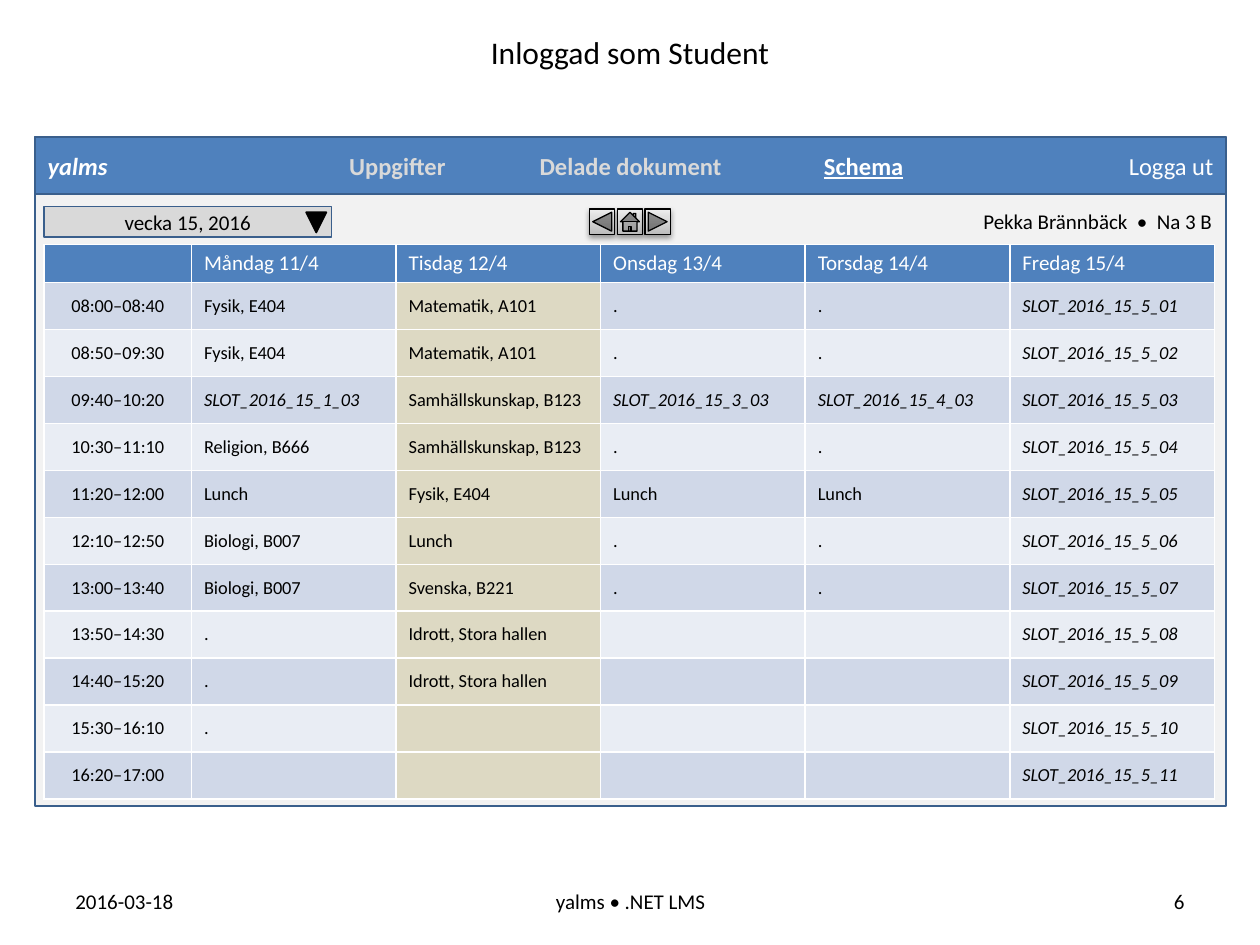
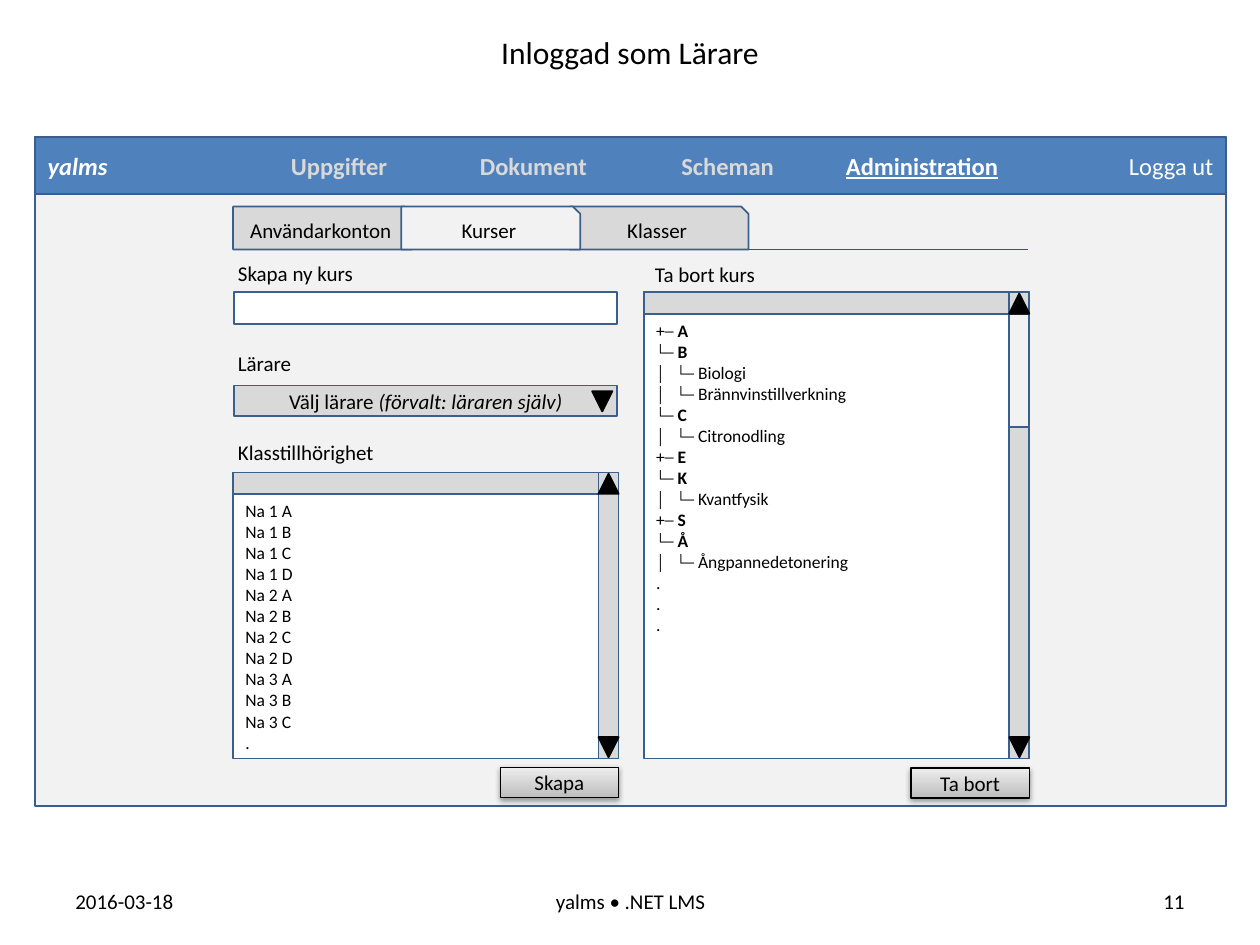
from dataclasses import dataclass
from lxml.etree import SubElement
from pptx import Presentation
from pptx.dml.color import RGBColor
from pptx.enum.shapes import MSO_CONNECTOR, MSO_SHAPE
from pptx.enum.text import MSO_ANCHOR, MSO_AUTO_SIZE, PP_ALIGN
from pptx.oxml.ns import qn
from pptx.util import Inches, Pt

FONT = "Calibri"
COLORS = {
    "black": "000000", "white": "FFFFFF", "blue": "4F81BD", "outline": "3A5F8C",
    "page": "F2F2F2", "gray": "D9D9D9", "purple": "7030A0", "today": "DDD9C3",
    "band_dark": "D0D8E8", "band_light": "E9EDF4", "contour": "808080",
    "button_dark": "BDBDBD", "button_light": "EEEEEE",
}
SLIDE_WIDTH, SLIDE_HEIGHT = Inches(10), Inches(7.5)
# The slide is a grid of 100 columns and 75 rows
COLUMN, ROW = SLIDE_WIDTH / 100, SLIDE_HEIGHT / 75
LEFT, CENTER, RIGHT = PP_ALIGN.LEFT, PP_ALIGN.CENTER, PP_ALIGN.RIGHT


@dataclass
class Box:
    """An area in grid columns and rows."""
    left: float
    top: float
    width: float
    height: float

    def inside(self, left, top, width, height):
        return Box(self.left + left, self.top + top, width, height)

    def lengths(self):
        return (round(self.left * COLUMN), round(self.top * ROW),
                round(self.width * COLUMN), round(self.height * ROW))


WINDOW = Box(2.8, 10.9, 94.5, 53.1)
MENU_HEIGHT = 4.5


def rgb(name):
    return RGBColor.from_string(COLORS[name])


# Text
def format_run(run, size, color="black", bold=False, italic=False):
    run.font.name, run.font.size = FONT, Pt(size)
    run.font.bold, run.font.italic = bold, italic
    run.font.color.rgb = rgb(color)


def write(text_frame, lines, size=12, align=LEFT, color="black", anchor=MSO_ANCHOR.MIDDLE):
    text_frame.word_wrap = True
    text_frame.auto_size = MSO_AUTO_SIZE.NONE
    text_frame.vertical_anchor = anchor
    text_frame.text = "\n".join(lines)
    for paragraph in text_frame.paragraphs:
        paragraph.alignment = align
        for run in paragraph.runs:
            format_run(run, size, color)


def add_label(slide, box, text, align=LEFT, anchor=MSO_ANCHOR.TOP):
    label = slide.shapes.add_textbox(*box.lengths())
    write(label.text_frame, [text], align=align, anchor=anchor)


# Shapes
def add_box(slide, box, fill, kind=MSO_SHAPE.RECTANGLE, line="outline", text=None):
    shape = slide.shapes.add_shape(kind, *box.lengths())
    shape.shadow.inherit = False
    shape.fill.solid()
    shape.fill.fore_color.rgb = rgb(fill)
    shape.line.color.rgb = rgb(line)
    shape.line.width = Pt(1)
    if text:
        write(shape.text_frame, [text], align=CENTER)
    return shape


def add_arrow(slide, box, down=True):
    arrow = add_box(slide, box, "black", MSO_SHAPE.ISOSCELES_TRIANGLE, "black")
    arrow.rotation = 180 if down else 0


def add_button(slide, box, kind=MSO_SHAPE.RECTANGLE, text=None):
    button = add_box(slide, box, "gray", kind, "black", text)
    button.line.width = Pt(0.75)
    button.fill.gradient()
    button.fill.gradient_angle = 90
    for stop, color, position in zip(button.fill.gradient_stops,
                                     ("button_dark", "button_light"), (0, 1)):
        stop.color.rgb = rgb(color)
        stop.position = position
    effects = button._element.spPr.find(qn("a:effectLst"))
    shadow = SubElement(effects, qn("a:outerShdw"), blurRad="40000", dist="20000",
                        dir="5400000", rotWithShape="0")
    shade = SubElement(shadow, qn("a:srgbClr"), val=COLORS["black"])
    SubElement(shade, qn("a:alpha"), val="38000")


def add_dropdown(slide, box, text):
    dropdown = add_box(slide, box, "gray", MSO_SHAPE.ACTION_BUTTON_CUSTOM, text=text)
    add_arrow(slide, box.inside(box.width - 2, 0.45, 1.6, 1.6))
    return dropdown


def add_scroll_list(slide, box, lines, thumb_height=0):
    strip, bar = 1.7, 1.6
    panel = add_box(slide, box, "white")
    write(panel.text_frame, lines, size=10, anchor=MSO_ANCHOR.TOP)
    panel.text_frame.margin_top = round(2.2 * ROW)
    add_box(slide, box.inside(0, 0, box.width, strip), "gray")
    bar_left = box.width - bar
    add_box(slide, box.inside(bar_left, 0, bar, box.height), "gray")
    if thumb_height:
        add_box(slide, box.inside(bar_left, strip, bar, thumb_height), "page")
    add_arrow(slide, box.inside(bar_left, box.height - strip, bar, bar))
    add_arrow(slide, box.inside(bar_left, 0.1, bar, bar), down=False)
    return panel


# Parts that both slides share
def add_menu(slide, box, items, current):
    menu = add_box(slide, box, "blue")
    write(menu.text_frame, items, size=14, align=CENTER, color="gray")
    menu.text_frame._txBody.bodyPr.set("numCol", str(len(items)))
    paragraphs = menu.text_frame.paragraphs
    paragraphs[0].alignment, paragraphs[-1].alignment = LEFT, RIGHT
    for item, paragraph in zip(items, paragraphs):
        font = paragraph.runs[0].font
        font.bold = paragraph is not paragraphs[-1]
        font.underline = item == current
        if item in (items[0], items[-1], current):
            font.color.rgb = rgb("white")
    paragraphs[0].runs[0].font.italic = True


def add_footer(slide, number):
    add_label(slide, Box(5, 69.5, 23.3, 4), "2016-03-18", LEFT, MSO_ANCHOR.MIDDLE)
    add_label(slide, Box(34.2, 69.5, 31.7, 4), "yalms • .NET LMS", CENTER, MSO_ANCHOR.MIDDLE)
    add_label(slide, Box(71.7, 69.5, 23.3, 4), number, RIGHT, MSO_ANCHOR.MIDDLE)


def add_page(presentation, title, number, items, current):
    slide = presentation.slides.add_slide(presentation.slide_layouts[5])
    heading = slide.shapes.title
    heading.left, heading.top, heading.width, heading.height = Box(0, 2.1, 100, 4).lengths()
    write(heading.text_frame, [title], size=18, align=CENTER)
    add_footer(slide, number)
    add_box(slide, WINDOW, "page")
    add_menu(slide, WINDOW.inside(0, 0, WINDOW.width, MENU_HEIGHT), items, current)
    return slide


# Student: weekly schedule
DAYS = ["", "Måndag 11/4", "Tisdag 12/4", "Onsdag 13/4", "Torsdag 14/4", "Fredag 15/4"]
TODAY = 2
LESSONS = [
    ["08:00–08:40", "Fysik, E404", "Matematik, A101", ".", "."],
    ["08:50–09:30", "Fysik, E404", "Matematik, A101", ".", "."],
    ["09:40–10:20", "SLOT_2016_15_1_03", "Samhällskunskap, B123",
     "SLOT_2016_15_3_03", "SLOT_2016_15_4_03"],
    ["10:30–11:10", "Religion, B666", "Samhällskunskap, B123", ".", "."],
    ["11:20–12:00", "Lunch", "Fysik, E404", "Lunch", "Lunch"],
    ["12:10–12:50", "Biologi, B007", "Lunch", ".", "."],
    ["13:00–13:40", "Biologi, B007", "Svenska, B221", ".", "."],
    ["13:50–14:30", ".", "Idrott, Stora hallen", "", ""],
    ["14:40–15:20", ".", "Idrott, Stora hallen", "", ""],
    ["15:30–16:10", ".", "", "", ""],
    ["16:20–17:00", "", "", "", ""],
]


def fill_cell(cell, text, size, fill, color="black", align=LEFT):
    write_to = cell.text_frame
    write_to.text = text
    cell.vertical_anchor = MSO_ANCHOR.MIDDLE
    paragraph = write_to.paragraphs[0]
    paragraph.alignment = align
    for run in paragraph.runs:
        format_run(run, size, color, italic=text.startswith("SLOT"))
    if not text:
        SubElement(paragraph._p, qn("a:endParaRPr"), sz=str(round(size * 100)))
    # White borders come before the fill in the cell properties
    properties = cell._tc.get_or_add_tcPr()
    for side in ("a:lnL", "a:lnR", "a:lnT", "a:lnB"):
        border = SubElement(properties, qn(side), w=str(Pt(1)))
        SubElement(SubElement(border, qn("a:solidFill")), qn("a:srgbClr"), val=COLORS["white"])
    cell.fill.solid()
    cell.fill.fore_color.rgb = rgb(fill)


def add_schedule(slide, box):
    time_width, header_height = 11.7, 3
    table = slide.shapes.add_table(len(LESSONS) + 1, len(DAYS), *box.lengths()).table
    day_width = (box.width - time_width) / (len(DAYS) - 1)
    lesson_height = (box.height - header_height) / len(LESSONS)
    for index, column in enumerate(table.columns):
        column.width = round((day_width if index else time_width) * COLUMN)
    for index, row in enumerate(table.rows):
        row.height = round((lesson_height if index else header_height) * ROW)
    for index, day in enumerate(DAYS):
        fill_cell(table.cell(0, index), day, 12, "blue", "white")
    for number, lesson in enumerate(LESSONS, 1):
        band = "band_dark" if number % 2 else "band_light"
        for index, text in enumerate(lesson + [f"SLOT_2016_15_5_{number:02}"]):
            fill_cell(table.cell(number, index), text, 10.5,
                      "today" if index == TODAY else band,
                      align=LEFT if index else CENTER)


def build_student_slide(presentation):
    items = ["yalms", "Uppgifter", "Delade dokument", "Schema", "Logga ut"]
    slide = add_page(presentation, "Inloggad som Student", "6", items, "Schema")
    add_dropdown(slide, WINDOW.inside(0.7, 5.5, 22.8, 2.4), "vecka 15, 2016")
    kinds = (MSO_SHAPE.ACTION_BUTTON_BACK_OR_PREVIOUS, MSO_SHAPE.ACTION_BUTTON_HOME,
             MSO_SHAPE.ACTION_BUTTON_FORWARD_OR_NEXT)
    for index, kind in enumerate(kinds):
        add_button(slide, WINDOW.inside(44 + 2.2 * index, 5.7, 2, 2), kind)
    add_schedule(slide, WINDOW.inside(0.7, 8.5, 92.9, 44))
    add_label(slide, WINDOW.inside(56.6, 5.2, 37.8, 3), "Pekka Brännbäck  •  Na 3 B", RIGHT)


# Teacher: course administration
CLASSES = [f"Na {year} {group}" for year in (1, 2, 3) for group in "ABCD"][:-1] + ["."]
COURSES = ["+─ A", "└─ B", "│   └─ Biologi", "│   └─ Brännvinstillverkning", "└─ C",
           "│   └─ Citronodling", "+─ E", "└─ K", "│   └─ Kvantfysik", "+─ S", "└─ Å",
           "│   └─ Ångpannedetonering", ".", ".", "."]


def add_tabs(slide, box, names, current):
    step, width = 13.35, 14.2
    line_y = box.top + box.height
    line = slide.shapes.add_connector(
        MSO_CONNECTOR.STRAIGHT, round((box.left + 2 * step + width) * COLUMN),
        round(line_y * ROW), round((box.left + box.width) * COLUMN), round(line_y * ROW))
    line.line.color.rgb = rgb("purple")
    line.line.width = Pt(1)
    SubElement(line._element.spPr, qn("a:effectLst"))
    # The current tab goes last, on top of its neighbours
    for name in sorted(names, key=lambda name: name == current):
        add_box(slide, box.inside(step * names.index(name), 0, width, box.height),
                "page" if name == current else "gray", MSO_SHAPE.SNIP_1_RECTANGLE, text=name)


def style_branch(paragraph):
    """Give a top-level branch a contoured sign and a bold letter."""
    text = paragraph.text
    paragraph.text = ""
    for piece in (text[0], text[1:3], text[3:]):
        run = paragraph.add_run()
        run.text = piece
        format_run(run, 10, bold=piece == text[3:])
    properties = paragraph.runs[0].font._element
    contour = SubElement(properties, qn("a:ln"), w=str(Pt(2.25)))
    SubElement(SubElement(contour, qn("a:solidFill")), qn("a:srgbClr"), val=COLORS["contour"])
    properties.insert(0, contour)


def add_create_form(slide, box):
    for top, text in ((0, "Skapa ny kurs"), (7.1, "Lärare"), (14.2, "Klasstillhörighet")):
        add_label(slide, box.inside(-0.6, top, 28.3, 3), text)
    add_box(slide, box.inside(0.1, 3, 30.4, 2.5), "white")
    teacher = add_dropdown(slide, box.inside(0.1, 10.4, 30.4, 2.4), "Välj lärare ")
    hint = teacher.text_frame.paragraphs[0].add_run()
    hint.text = "(förvalt: läraren själv)"
    format_run(hint, 12, italic=True)
    add_scroll_list(slide, box.inside(0, 17.3, box.width, 22.7), CLASSES)
    add_button(slide, box.inside(box.width - 9.4, 40.7, 9.4, 2.4), text="Skapa")


def add_delete_form(slide, box):
    add_label(slide, box.inside(-0.1, 0.1, 28.3, 3), "Ta bort kurs")
    tree = add_scroll_list(slide, box.inside(0, 3, box.width, 37), COURSES, thumb_height=9)
    for paragraph in tree.text_frame.paragraphs:
        if paragraph.text[0] in "+└":
            style_branch(paragraph)
    add_button(slide, box.inside(box.width - 9.4, 40.75, 9.4, 2.4), text="Ta bort")


def build_teacher_slide(presentation):
    items = ["yalms", "Uppgifter", "Dokument", "Scheman", "Administration", "Logga ut"]
    slide = add_page(presentation, "Inloggad som Lärare", "11", items, "Administration")
    add_tabs(slide, WINDOW.inside(15.7, 5.5, 63.1, 3.4),
             ["Användarkonton", "Kurser", "Klasser"], "Kurser")
    add_create_form(slide, WINDOW.inside(15.7, 9.3, 30.6, 43))
    add_delete_form(slide, WINDOW.inside(48.3, 9.3, 30.6, 43))


def main():
    presentation = Presentation()
    presentation.slide_width, presentation.slide_height = SLIDE_WIDTH, SLIDE_HEIGHT
    build_student_slide(presentation)
    build_teacher_slide(presentation)
    presentation.save("out.pptx")


if __name__ == "__main__":
    main()
